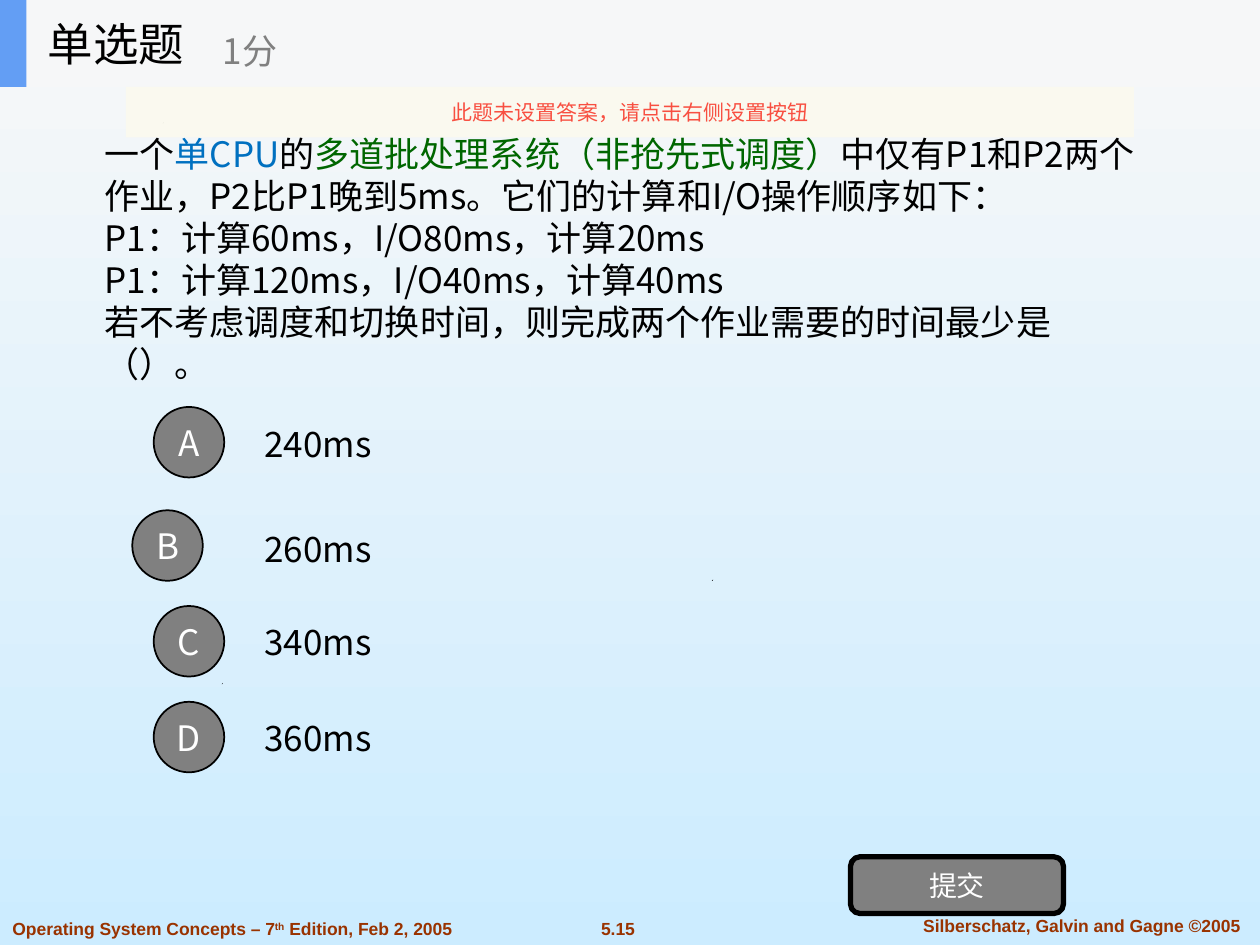
from lxml import etree
from pptx import Presentation
from pptx.dml.color import RGBColor
from pptx.enum.shapes import MSO_SHAPE as Shape
from pptx.enum.text import MSO_ANCHOR as Anchor, MSO_AUTO_SIZE as AutoSize, PP_ALIGN as Align
from pptx.oxml.ns import qn
from pptx.util import Inches, Pt

COLORS = {
    "black": "000000", "white": "FFFFFF", "gray": "808080", "blue": "0070C0",
    "green": "006600", "brown": "993300", "red": "F84F41", "cream": "FBFAEF",
    "header": "F6F7F8", "accent": "639EF4", "sky_top": "F8F8F8", "sky_bottom": "CCECFF",
}
CJK, LATIN = "Noto Sans CJK SC", "Arial"

# Content: paragraphs are lists of (text, colour) runs
QUESTION = [
    [("一个", "black"), ("单CPU", "blue"), ("的", "black"),
     ("多道批处理系统（非抢先式调度）", "green"),
     ("中仅有P1和P2两个作业，P2比P1晚到5ms。它们的计算和I/O操作顺序如下：", "black")],
    [("P1：计算60ms，I/O80ms，计算20ms", "black")],
    [("P1：计算120ms，I/O40ms，计算40ms", "black")],
    [("若不考虑调度和切换时间，则完成两个作业需要的时间最少是（）。", "black")],
]
# letter, answer, circle left, circle top, answer top
OPTIONS = [
    ("A", "240ms", 1.22, 3.23, 3.17),
    ("B", "260ms", 1.05, 4.05, 4.0),
    ("C", "340ms", 1.22, 4.81, 4.74),
    ("D", "360ms", 1.22, 5.57, 5.5),
]
FOOTERS = [
    (["Operating System Concepts – 7", "th", " Edition, Feb 2, 2005"],
     (0, 7.24, 4.11, 0.27), Align.LEFT),
    (["5.15"], (4.64, 7.24, 0.53, 0.27), Align.CENTER),
    (["Silberschatz, Galvin and Gagne ©2005"], (7.1, 7.21, 2.97, 0.27), Align.CENTER),
]
SPECKS = [(1.76, 5.42), (1.3, 4.6), (5.65, 4.6), (1.29, 0.97)]


def rgb(name):
    return RGBColor.from_string(COLORS[name])


def place(shape, box):
    shape.left, shape.top, shape.width, shape.height = map(Inches, box)


def add_run(paragraph, text, size, color, font=CJK, bold=False):
    run = paragraph.add_run()
    run.text = text
    run.font.size, run.font.name, run.font.bold = Pt(size), font, bold
    run.font.color.rgb = rgb(color)
    east_asian = etree.SubElement(run.font._element, qn("a:ea"))
    east_asian.set("typeface", font)
    return run


def write(shape, paragraphs, size, align=Align.LEFT, anchor=Anchor.MIDDLE):
    frame = shape.text_frame
    frame.word_wrap, frame.auto_size = True, AutoSize.NONE
    frame.vertical_anchor = anchor
    for index, runs in enumerate(paragraphs):
        paragraph = frame.add_paragraph() if index else frame.paragraphs[0]
        paragraph.alignment = align
        paragraph.space_before = Pt(0)
        for text, color in runs:
            add_run(paragraph, text, size, color)


def add_text(shapes, box, text, size, color):
    textbox = shapes.add_textbox(*map(Inches, box))
    write(textbox, [[(text, color)]], size)


def add_box(shapes, kind, box, fill, line_width=0):
    shape = shapes.add_shape(kind, *map(Inches, box))
    shape.shadow.inherit = False
    shape.fill.solid()
    shape.fill.fore_color.rgb = rgb(fill)
    if line_width:
        shape.line.color.rgb = rgb("black")
        shape.line.width = Pt(line_width)
    else:
        shape.line.fill.background()
    return shape


def add_footer(shapes, texts, box, align):
    textbox = shapes.add_textbox(*map(Inches, box))
    paragraph = textbox.text_frame.paragraphs[0]
    paragraph.alignment = align
    textbox.text_frame.word_wrap = True
    for text in texts:
        run = add_run(paragraph, text, 10, "brown", LATIN, True)
        if text == "th":
            run.font._element.set("baseline", "30000")


def add_speck(shapes, left, top):
    size = Inches(0.01)
    x, y = Inches(left), Inches(top)
    builder = shapes.build_freeform(x, y + size)
    builder.add_line_segments([(x + size, y), (x + size // 2, y + size)])
    speck = builder.convert_to_shape()
    speck.shadow.inherit = False
    speck.fill.solid()
    speck.fill.fore_color.rgb = rgb("black")
    speck.line.fill.background()


def main():
    presentation = Presentation()
    presentation.slide_width, presentation.slide_height = Inches(10), Inches(7.5)
    slide = presentation.slides.add_slide(presentation.slide_layouts[1])
    shapes = slide.shapes

    # Background, running from top to bottom
    background = slide.background.fill
    background.gradient()
    background.gradient_angle = 270
    for stop, color in zip(background.gradient_stops, ("sky_top", "sky_bottom")):
        stop.color.rgb = rgb(color)

    # Footer and small marks
    for texts, box, align in FOOTERS:
        add_footer(shapes, texts, box, align)
    for left, top in SPECKS:
        add_speck(shapes, left, top)

    # Question, with no bullets and no punctuation hanging past the edge
    question = slide.placeholders[1]
    place(question, (0.73, 0.88, 8.51, 2.34))
    write(question, QUESTION, 20)
    for paragraph in question.text_frame.paragraphs:
        properties = paragraph._p.get_or_add_pPr()
        for name in ("marL", "indent", "hangingPunct"):
            properties.set(name, "0")
        etree.SubElement(properties, qn("a:buNone"))

    # Answer options
    for letter, answer, left, top, answer_top in OPTIONS:
        add_text(shapes, (2, answer_top, 1.76, 0.7), answer, 20, "black")
        circle = add_box(shapes, Shape.OVAL, (left, top, 0.56, 0.56), "gray", 1)
        frame = circle.text_frame
        frame.margin_left = frame.margin_right = 0
        write(circle, [[(letter, "white")]], 20, Align.CENTER)

    # Submit button
    button = add_box(shapes, Shape.ROUNDED_RECTANGLE, (6.75, 6.8, 1.69, 0.45), "gray", 3)
    write(button, [[("提交", "white")]], 16, Align.CENTER)

    # Header band, with the title brought in front of it
    add_box(shapes, Shape.RECTANGLE, (0, 0, 10, 0.69), "header")
    add_box(shapes, Shape.RECTANGLE, (0, 0, 0.21, 0.69), "accent")
    title = shapes.title
    title.element.getparent().append(title.element)
    place(title, (0.28, 0, 2.08, 0.69))
    write(title, [[("单选题", "black")]], 26)
    add_text(shapes, (1.67, 0.12, 2.5, 0.56), "1分", 20, "gray")

    # Slightly transparent warning bar
    warning = add_box(shapes, Shape.RECTANGLE, (1, 0.69, 8, 0.4), "cream")
    color = warning.fill._xPr.find(".//" + qn("a:srgbClr"))
    etree.SubElement(color, qn("a:alpha")).set("val", "90000")
    write(warning, [[("此题未设置答案，请点击右侧设置按钮", "red")]], 12, Align.CENTER)

    presentation.save("out.pptx")


if __name__ == "__main__":
    main()
